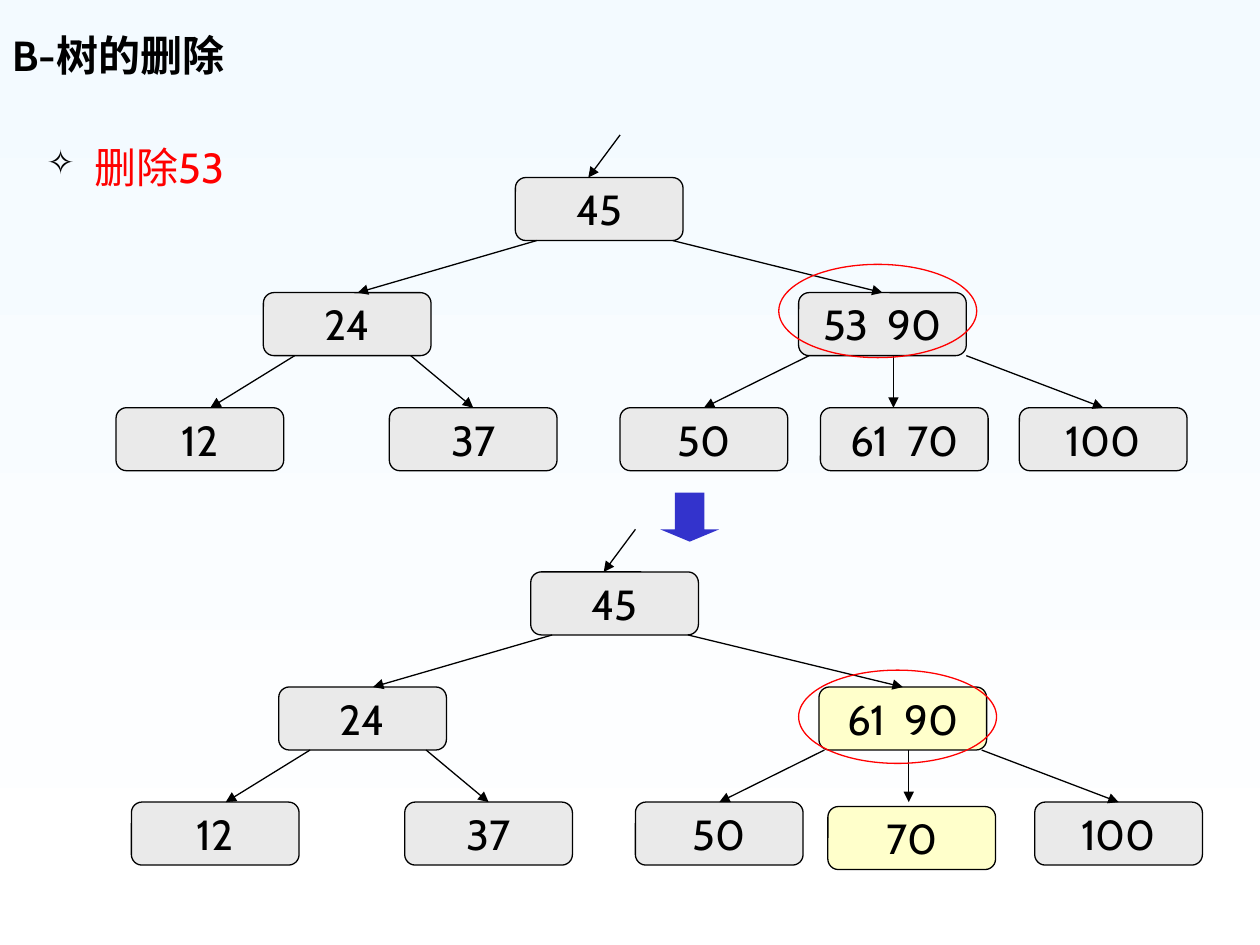
from lxml import etree
from pptx import Presentation
from pptx.dml.color import RGBColor
from pptx.enum.shapes import MSO_CONNECTOR, MSO_SHAPE
from pptx.enum.text import MSO_ANCHOR, MSO_AUTO_SIZE, PP_ALIGN
from pptx.oxml.ns import qn
from pptx.util import Cm, Pt

ROUNDED = MSO_SHAPE.ROUNDED_RECTANGLE
OVAL = MSO_SHAPE.OVAL
DOWN_ARROW = MSO_SHAPE.DOWN_ARROW
STRAIGHT = MSO_CONNECTOR.STRAIGHT
LEFT, CENTER = PP_ALIGN.LEFT, PP_ALIGN.CENTER
TOP, MIDDLE, BOTTOM = MSO_ANCHOR.TOP, MSO_ANCHOR.MIDDLE, MSO_ANCHOR.BOTTOM
NO_AUTOFIT = MSO_AUTO_SIZE.NONE
TOP_SIDE = 0

COLORS = {
    "sky": "F3FAFF",
    "white": "FFFFFF",
    "ink": "000000",
    "alert": "FF0000",
    "node": "EAEAEA",
    "changed": "FFFFCB",
    "arrow": "3333CC",
}
FONT = "Cabin"
KEY_SPACING = "550"

NODE_W, NODE_H = 3.38, 1.27
ROOT_TOP, LEVEL_STEP = 3.58, 2.32
NODE_PLACES = {
    "root": (10.39, 0),
    "left": (5.31, 1),
    "right": (16.1, 1),
    "leaf1": (2.34, 2),
    "leaf2": (7.85, 2),
    "leaf3": (12.5, 2),
    "leaf4": (16.54, 2),
    "leaf5": (20.55, 2),
}
EDGES = [
    ("root", 10.82, "left", 7.21),
    ("root", 13.56, "right", None),
    ("left", 5.94, "leaf1", 4.24),
    ("left", 8.28, "leaf2", None),
    ("right", 16.31, "leaf3", None),
    ("right", 18.01, "leaf4", 18.01),
    ("right", 19.48, "leaf5", None),
]


def color(name):
    return RGBColor.from_string(COLORS[name])


def write_text(shape, text, ink="ink", bold=False, align=LEFT, anchor=TOP,
               wrap=True, bullet=None):
    frame = shape.text_frame
    frame.auto_size = NO_AUTOFIT
    frame.word_wrap = wrap
    frame.vertical_anchor = anchor
    paragraph = frame.paragraphs[0]
    paragraph.alignment = align
    if bullet:
        properties = paragraph._p.get_or_add_pPr()
        properties.set("marL", str(Cm(0.97)))
        properties.set("indent", str(Cm(-0.97)))
        bullet_color = etree.SubElement(properties, qn("a:buClr"))
        etree.SubElement(bullet_color, qn("a:srgbClr"), val=COLORS["ink"])
        etree.SubElement(properties, qn("a:buSzPct"), val="80000")
        etree.SubElement(properties, qn("a:buChar"), char=bullet)
    for part in text.partition(" "):
        if part:
            run = paragraph.add_run()
            run.text = part
            run.font.name = FONT
            run.font.size = Pt(24)
            run.font.bold = bold
            run.font.color.rgb = color(ink)
            if part == " ":
                run.font._element.set("spc", KEY_SPACING)


class TreeSlide:
    line_width = Pt(0.75)

    def __init__(self, presentation):
        self.slide = presentation.slides.add_slide(presentation.slide_layouts[5])
        fill = self.slide.background.fill
        fill.gradient()
        fill.gradient_angle = 270
        for stop, name in zip(fill.gradient_stops, ("sky", "white")):
            stop.color.rgb = color(name)

    def title(self, text):
        heading = self.slide.shapes.title
        heading.left, heading.top = Cm(0), Cm(0)
        heading.width, heading.height = Cm(21.64), Cm(1.73)
        write_text(heading, text, bold=True, anchor=BOTTOM)

    def bullet(self, text, left, top, width, height):
        box = self.slide.shapes.add_textbox(Cm(left), Cm(top), Cm(width), Cm(height))
        write_text(box, text, ink="alert", bullet="✧")

    def shape(self, kind, left, top, width, height, fill=None, line=None):
        shape = self.slide.shapes.add_shape(
            kind, Cm(left), Cm(top), Cm(width), Cm(height))
        shape.shadow.inherit = False
        if fill:
            shape.fill.solid()
            shape.fill.fore_color.rgb = color(fill)
        else:
            shape.fill.background()
        if line:
            shape.line.color.rgb = color(line)
            shape.line.width = self.line_width
        else:
            shape.line.fill.background()
        return shape

    def node(self, keys, left, top, fill):
        node = self.shape(ROUNDED, left, top, NODE_W, NODE_H, fill, "ink")
        write_text(node, keys, align=CENTER, anchor=MIDDLE, wrap=False)
        return node

    def pointer(self, x1, y1, x2, y2, target=None):
        pointer = self.slide.shapes.add_connector(
            STRAIGHT, Cm(x1), Cm(y1), Cm(x2), Cm(y2))
        if target is not None:
            pointer.end_connect(target, TOP_SIDE)
        pointer.line.color.rgb = color("ink")
        pointer.line.width = self.line_width
        etree.SubElement(pointer.line._get_or_add_ln(), qn("a:tailEnd"), type="triangle")
        etree.SubElement(pointer._element.spPr, qn("a:effectLst"))

    def tree(self, keys, dx=0, dy=0, changed=(), nudges=None):
        nudges = nudges or {}
        levels = [ROOT_TOP + dy + LEVEL_STEP * depth for depth in range(3)]
        nodes = {}
        for place, (left, depth) in NODE_PLACES.items():
            nudge_x, nudge_y = nudges.get(place, (0, 0))
            fill = "changed" if place in changed else "node"
            nodes[place] = self.node(
                keys[place], left + dx + nudge_x, levels[depth] + nudge_y, fill)
        self.pointer(12.5 + dx, 2.72 + dy, 11.86 + dx, levels[0])
        for parent, start, child, end in EDGES:
            child_left, depth = NODE_PLACES[child]
            target = nodes[child] if end is None else None
            end = child_left + NODE_W / 2 if end is None else end
            self.pointer(start + dx, levels[depth - 1] + NODE_H,
                         end + dx, levels[depth], target)

    def highlight(self, left, top):
        self.shape(OVAL, left, top, 3.99, 1.88, line="alert")


def main():
    presentation = Presentation()
    presentation.slide_width, presentation.slide_height = Cm(25.4), Cm(19.05)

    page = TreeSlide(presentation)
    page.title("B-树的删除")
    page.bullet("删除53", 0.69, 2.72, 10.8, 2.01)

    before = {"root": "45", "left": "24", "right": "53 90", "leaf1": "12",
              "leaf2": "37", "leaf3": "50", "leaf4": "61 70", "leaf5": "100"}
    after = {**before, "right": "61 90", "leaf4": "70"}

    page.tree(before)
    page.highlight(15.7, 5.33)
    page.tree(after, dx=0.31, dy=7.95, changed=("right", "leaf4"),
              nudges={"right": (0.1, 0), "leaf4": (-0.16, 0.09)})
    page.highlight(16.1, 13.51)
    step = page.shape(DOWN_ARROW, 13.31, 9.93, 1.19, 0.99, fill="arrow")
    step.adjustments[1] = 0.25

    presentation.save("out.pptx")


if __name__ == "__main__":
    main()
